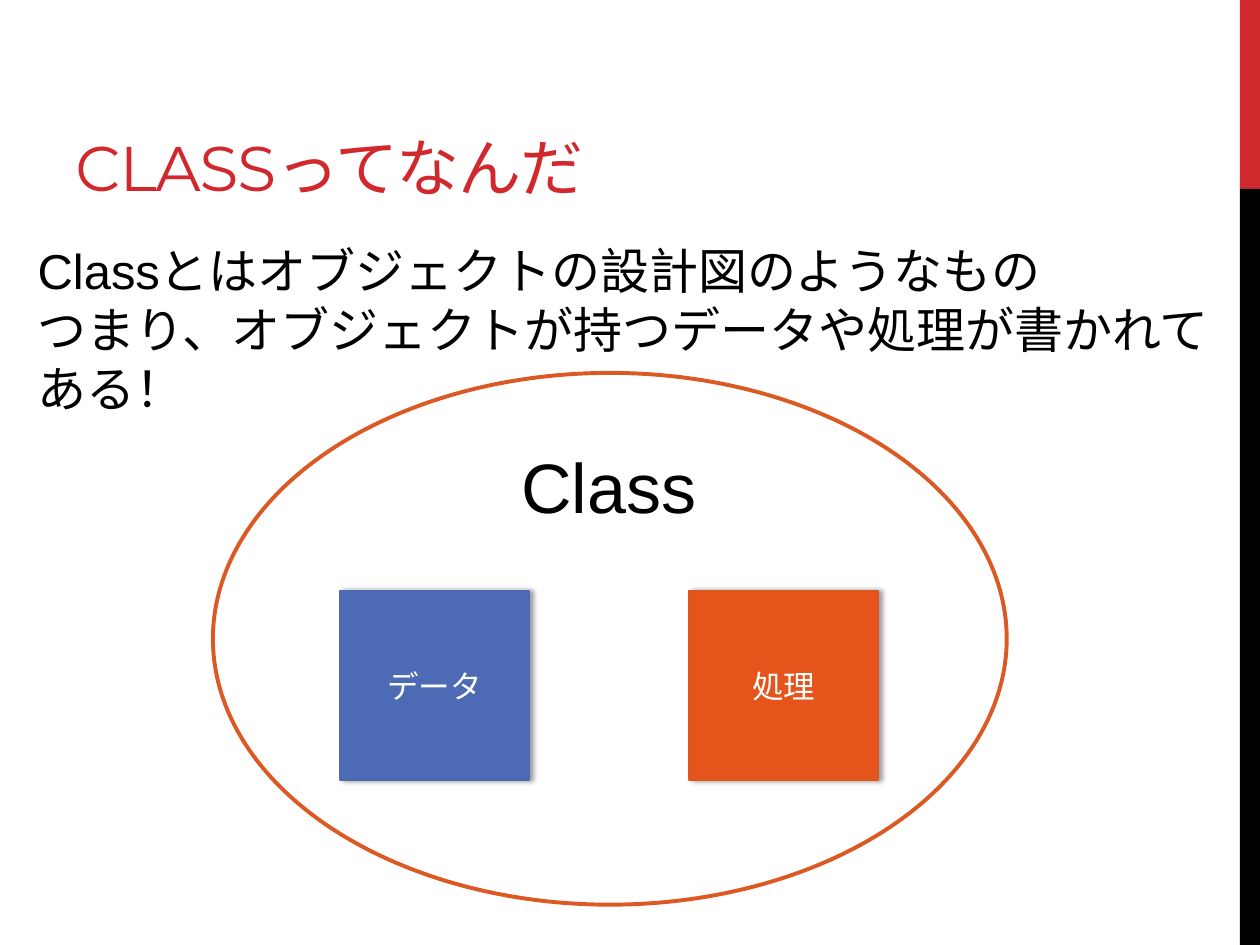
from lxml import etree
from pptx import Presentation
from pptx.dml.color import RGBColor
from pptx.enum.shapes import MSO_SHAPE as Preset
from pptx.enum.text import MSO_ANCHOR as Anchor, PP_ALIGN as Align
from pptx.oxml.ns import qn
from pptx.util import Inches, Pt

RED, BLACK, WHITE = "D1282E", "000000", "FFFFFF"


def color(hex_value):
    return RGBColor.from_string(hex_value)


def write(shape, text, size=18, font="Arial", fill=BLACK, align=Align.LEFT,
          anchor=Anchor.TOP, spacing=None):
    """Put text in a shape, one paragraph a line; spacing is in 1/100 pt."""
    frame = shape.text_frame
    frame.word_wrap = True
    frame.vertical_anchor = anchor
    frame.text = text
    for paragraph in frame.paragraphs:
        paragraph.alignment = align
        for run in paragraph.runs:
            run.font.size = Pt(size)
            run.font.name = font
            run.font.color.rgb = color(fill)
            if spacing is not None:
                run.font._element.set("spc", str(spacing))


def add_shadow(shape):
    """Cast a soft shadow to the right."""
    effects = shape._element.spPr.find(qn("a:effectLst"))
    shadow = etree.SubElement(effects, qn("a:outerShdw"), blurRad=str(Pt(3.1)),
                              dist=str(Pt(1.8)), dir="0", rotWithShape="0")
    black = etree.SubElement(shadow, qn("a:srgbClr"), val=BLACK)
    etree.SubElement(black, qn("a:alpha"), val="40000")


class SlideBuilder:
    def __init__(self, presentation):
        self.slide = presentation.slides.add_slide(presentation.slide_layouts[6])

    def shape(self, preset, box, fill, line=None, line_width=1):
        shape = self.slide.shapes.add_shape(preset, *map(Inches, box))
        shape.shadow.inherit = False
        shape.fill.solid()
        shape.fill.fore_color.rgb = color(fill)
        if line:
            shape.line.color.rgb = color(line)
            shape.line.width = Pt(line_width)
        else:
            shape.line.fill.background()
        return shape

    def text(self, box, text, **style):
        write(self.slide.shapes.add_textbox(*map(Inches, box)), text, **style)

    def member(self, left, label, fill, line):
        """Add a shadowed square for one part of the class."""
        square = self.shape(Preset.RECTANGLE, (left, 4.69, 1.5, 1.5), fill, line)
        add_shadow(square)
        write(square, label, fill=WHITE, align=Align.CENTER, anchor=Anchor.MIDDLE)


def main():
    presentation = Presentation()
    presentation.slide_width = Inches(10)
    presentation.slide_height = Inches(7.5)
    builder = SlideBuilder(presentation)

    builder.shape(Preset.RECTANGLE, (9.84, 0, 0.16, 1.5), RED)
    builder.shape(Preset.RECTANGLE, (9.84, 1.5, 0.16, 6), BLACK)
    builder.text((0.5, 0.17, 6.33, 1.5), "CLASSってなんだ", size=36,
                 font="Montserrat", fill=RED, anchor=Anchor.BOTTOM, spacing=-60)
    builder.text((0.2, 1.86, 9.83, 1.04),
                 "Classとはオブジェクトの設計図のようなもの\n"
                 "つまり、オブジェクトが持つデータや処理が書かれてある！", size=28)

    builder.shape(Preset.OVAL, (1.69, 2.96, 6.3, 4.22), WHITE, "DC5924", 2.25)
    builder.member(2.7, "データ", "4D6BB5", "4E6AAE")
    builder.member(5.47, "処理", "E5551B", "DC551F")
    builder.text((4.04, 3.47, 1.6, 0.77), "Class", size=40)

    presentation.save("out.pptx")


if __name__ == "__main__":
    main()
